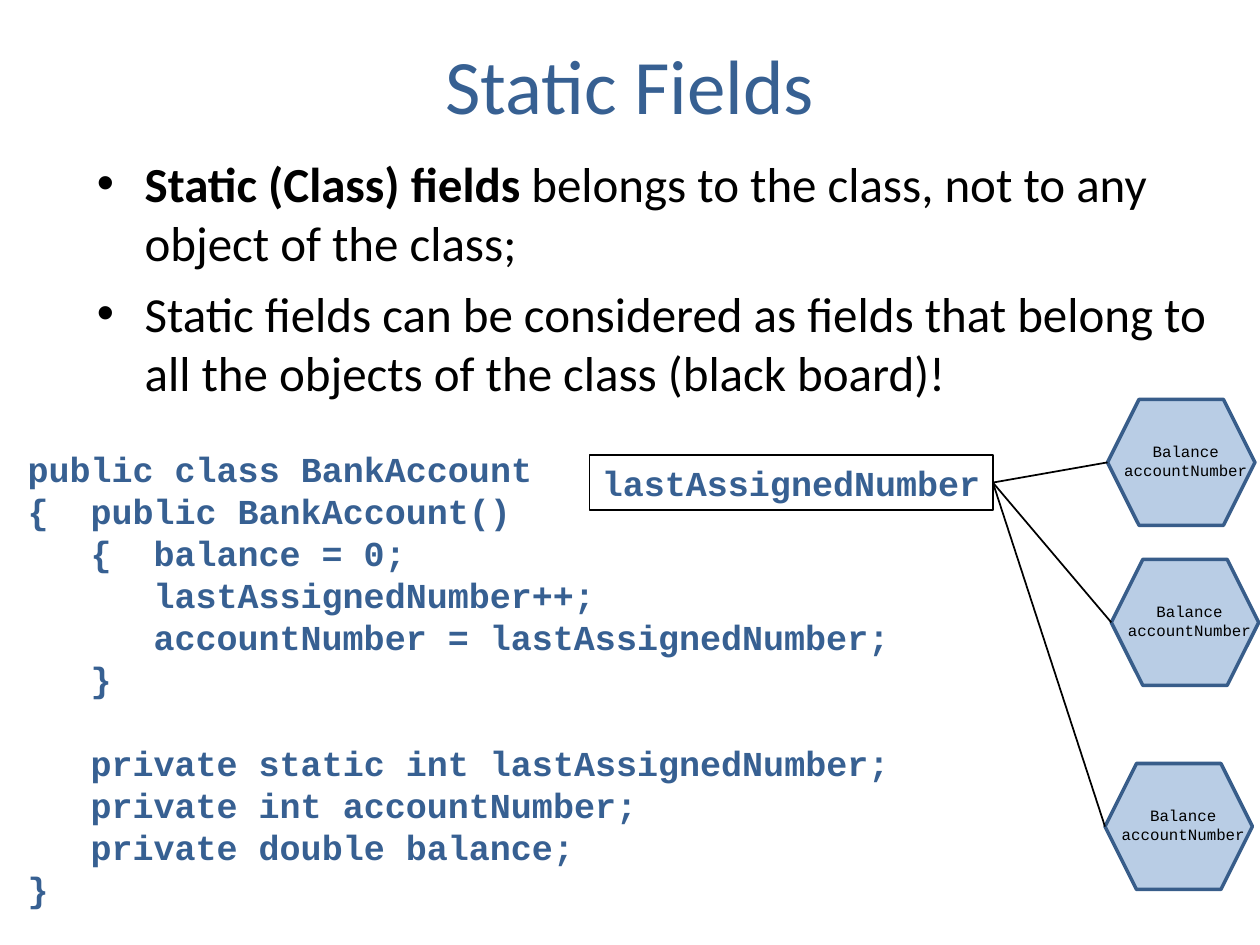
from dataclasses import dataclass

from lxml.etree import SubElement
from pptx import Presentation
from pptx.dml.color import RGBColor
from pptx.enum.shapes import MSO_CONNECTOR, MSO_SHAPE
from pptx.enum.text import MSO_ANCHOR, PP_ALIGN
from pptx.oxml.ns import qn
from pptx.util import Inches, Pt


@dataclass(frozen=True)
class Theme:
    ink: RGBColor = RGBColor(0x00, 0x00, 0x00)
    blue: RGBColor = RGBColor(0x37, 0x60, 0x92)
    fill: RGBColor = RGBColor(0xB9, 0xCD, 0xE5)
    edge: RGBColor = RGBColor(0x38, 0x5D, 0x8A)
    sans: str = "Calibri"
    mono: str = "Courier New"
    title: int = 44
    body: int = 28
    code: int = 20
    label: int = 9
    leading: float = 1.2


T = Theme()
W, H = Inches(10), Inches(7.5)
COLS, ROWS = 100, 75


def col(n):
    return round(W * n / COLS)


def row(n):
    return round(H * n / ROWS)


def place(box):
    """Turn a box in grid columns and rows into slide lengths."""
    x, y, w, h = box
    return col(x), row(y), col(w), row(h)


def style(p, font, size, color, bold=False):
    for r in p.runs:
        r.font.name = font
        r.font.size = Pt(size)
        r.font.color.rgb = color
        r.font.bold = bold


def style_code(p, size, color, bold=False):
    style(p, T.mono, size, color, bold)
    p.line_spacing = Pt(size * T.leading)


def indent(p, margin, first=0):
    pPr = p._p.get_or_add_pPr()
    pPr.set("marL", str(margin))
    pPr.set("indent", str(first))
    return pPr


def add_text(shapes, box, wrap=True):
    tf = shapes.add_textbox(*place(box)).text_frame
    tf.word_wrap = wrap
    return tf


def add_title(s, box, text):
    tf = add_text(s.shapes, box)
    tf.vertical_anchor = MSO_ANCHOR.MIDDLE
    tf.text = text
    p = tf.paragraphs[0]
    p.alignment = PP_ALIGN.CENTER
    style(p, T.sans, T.title, T.blue)


def add_bullets(s, box, items):
    """Each item is a pair: bold lead and the rest."""
    tf = add_text(s.shapes, box)
    for i, (lead, rest) in enumerate(items):
        p = tf.paragraphs[0] if i == 0 else tf.add_paragraph()
        p.space_before = Pt(7)
        pPr = indent(p, col(3.8), -col(3.8))
        SubElement(pPr, qn("a:buFont"), typeface="Arial")
        SubElement(pPr, qn("a:buChar"), char="•")
        p.text = lead + rest
        if lead:
            p.text = lead
            p.add_run().text = rest
        style(p, T.sans, T.body, T.ink)
        p.runs[0].font.bold = bool(lead)


def add_code(s, box, lines):
    """Each line is its indent level, its text and the empty lines above it."""
    tf = add_text(s.shapes, box)
    step = col(5)
    for i, (level, text, gap) in enumerate(lines):
        p = tf.paragraphs[0] if i == 0 else tf.add_paragraph()
        p.text = text
        style_code(p, T.code, T.blue, True)
        p.space_before = Pt(gap * T.code * T.leading)
        # Text after a brace hangs one level deeper
        hang = step if "\t" in text else 0
        indent(p, level * step + hang, -hang)


def add_shared_field(s, box, text):
    sp = s.shapes.add_shape(MSO_SHAPE.RECTANGLE, *place(box))
    sp.shadow.inherit = False
    sp.fill.background()
    sp.line.color.rgb = T.ink
    sp.line.width = Pt(1)
    tf = sp.text_frame
    tf.word_wrap = False
    tf.text = text
    tf.paragraphs[0].alignment = PP_ALIGN.CENTER
    style_code(tf.paragraphs[0], T.code, T.blue, True)
    return sp


def add_object(s, box, fields):
    x, y, w, h = box
    group = s.shapes.add_group_shape()
    # Hexagon
    sp = group.shapes.add_shape(MSO_SHAPE.HEXAGON, *place(box))
    sp.adjustments[0] = 0.25
    sp.shadow.inherit = False
    sp.fill.solid()
    sp.fill.fore_color.rgb = T.fill
    sp.line.color.rgb = T.edge
    sp.line.width = Pt(2)
    # Field names
    tf = add_text(group.shapes, (x + 0.1, y + 0.29 * h, w + 0.5, 0.4 * h))
    tf.text = "\n".join(fields)
    for p in tf.paragraphs:
        p.alignment = PP_ALIGN.CENTER
        style_code(p, T.label, T.ink)
    return sp


def add_link(s, start, end):
    """Line from the right side of start to the left tip of end."""
    cn = s.shapes.add_connector(MSO_CONNECTOR.STRAIGHT, 0, 0,
                                end.left, end.top + end.height // 2)
    cn.begin_connect(start, 3)
    cn.line.color.rgb = T.ink
    cn.line.width = Pt(1)
    SubElement(cn._element.spPr, qn("a:effectLst"))


def add_object_diagram(s, field_box, object_boxes):
    field = add_shared_field(s, field_box, "lastAssignedNumber")
    for box in object_boxes:
        add_link(s, field, add_object(s, box, ["Balance", "accountNumber"]))


BULLETS = [
    ("Static (Class) fields",
     " belongs to the class, not to any object of the class;"),
    ("", "Static fields can be considered as fields that belong to all "
         "the objects of the class (black board)!"),
]
CODE = [
    (0, "public class BankAccount", 0),
    (0, "{\tpublic BankAccount()", 0),
    (1, "{\tbalance = 0;", 0),
    (2, "lastAssignedNumber++;", 0),
    (2, "accountNumber = lastAssignedNumber;", 0),
    (1, "}", 0),
    (1, "private static int lastAssignedNumber;", 1),
    (1, "private int accountNumber;", 0),
    (1, "private double balance;", 0),
    (0, "}", 0),
]
OBJECTS = [(x, y, 11.7, 10)
           for x, y in ((87.9, 31.7), (88.2, 44.4), (87.7, 60.6))]


def main():
    prs = Presentation()
    prs.slide_width, prs.slide_height = W, H
    s = prs.slides.add_slide(prs.slide_layouts[6])
    add_title(s, (7.5, 0, 85, 13.3), "Static Fields")
    add_bullets(s, (6.7, 11.7, 91.7, 48.7), BULLETS)
    add_code(s, (1.2, 35, 77.5, 37.7), CODE)
    add_object_diagram(s, (46.8, 36.1, 32, 4.4), OBJECTS)
    prs.save("out.pptx")


if __name__ == "__main__":
    main()
